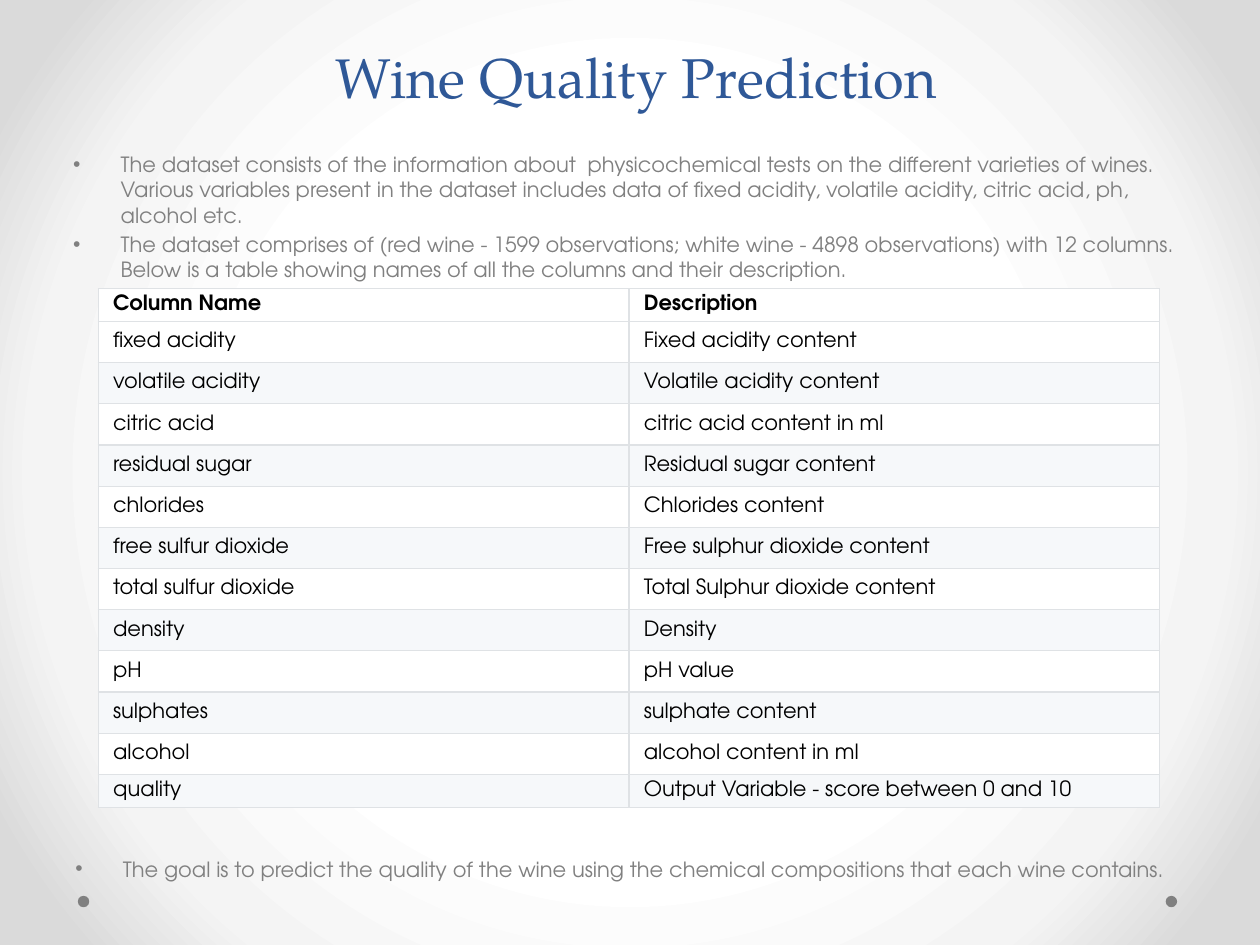
from dataclasses import dataclass
from typing import NamedTuple

from lxml.etree import SubElement
from pptx import Presentation
from pptx.dml.color import RGBColor as Color
from pptx.enum.shapes import MSO_SHAPE as Preset
from pptx.enum.text import MSO_ANCHOR as Anchor, MSO_AUTO_SIZE as AutoSize, PP_ALIGN as Align
from pptx.oxml import parse_xml
from pptx.oxml.ns import nsdecls, qn
from pptx.util import Cm, Pt


@dataclass(frozen=True)
class Theme:
    title_font: str = "TeX Gyre Pagella"
    body_font: str = "TeX Gyre Adventor"
    title_size: int = 32
    body_size: int = 12
    title: str = "2F5897"
    muted: str = "808080"
    ink: str = "000000"
    border: str = "DFE2E5"
    bands: tuple = ("F6F8FA", "FFFFFF")
    backdrop: tuple = ((50, "FFFFFF"), (76, "F4F4F4"), (92, "DADADA"))


class Place(NamedTuple):
    left: float
    top: float
    width: float
    height: float


class Variable(NamedTuple):
    name: str
    description: str


THEME = Theme()
TITLE_PLACE = Place(0.51, 0.53, 24.64, 1.8)
INTRO_PLACE = Place(1.22, 2.34, 22.86, 3.4)
GOAL_PLACE = Place(1.27, 16.54, 22.86, 1.4)
TABLE_PLACE = Place(1.98, 5.82, 21.4, 10.45)
DOTS = [Place(left, 18.06, 0.23, 0.23) for left in (23.5, 1.57)]
ROW_HEIGHT, EDGE_ROW_HEIGHT = 0.83, 0.66

INTRO = [
    "The dataset consists of the information about  physicochemical tests on the different "
    "varieties of wines. Various variables present in the dataset includes data of fixed acidity, "
    "volatile acidity, citric acid, ph, alcohol etc.",
    "The dataset comprises of (red wine - 1599 observations; white wine - 4898 observations) "
    "with 12 columns. Below is a table showing names of all the columns and their description.",
]
GOAL = [
    "The goal is to predict the quality of the wine using the chemical compositions "
    "that each wine contains."
]
VARIABLES = [
    Variable("Column Name", "Description"),
    Variable("fixed acidity", "Fixed acidity content"),
    Variable("volatile acidity", "Volatile acidity content"),
    Variable("citric acid", "citric acid content in ml"),
    Variable("residual sugar", "Residual sugar content"),
    Variable("chlorides", "Chlorides content"),
    Variable("free sulfur dioxide", "Free sulphur dioxide content"),
    Variable("total sulfur dioxide", "Total Sulphur dioxide content"),
    Variable("density", "Density"),
    Variable("pH", "pH value"),
    Variable("sulphates", "sulphate content"),
    Variable("alcohol", "alcohol content in ml"),
    Variable("quality", "Output Variable - score between 0 and 10"),
]


def lengths(place: Place) -> list:
    return [Cm(value) for value in place]


def move(shape, place: Place) -> None:
    shape.left, shape.top, shape.width, shape.height = lengths(place)


def set_font(para, name: str, size: int, color: str, bold: bool = False) -> None:
    font = para.font
    font.name, font.size, font.bold = name, Pt(size), bold
    font.color.rgb = Color.from_string(color)


def paint_background(slide) -> None:
    """Fill the background with a radial gradient, which needs XML."""
    stops = "".join(
        f'<a:gs pos="{position * 1000}"><a:srgbClr val="{color}"/></a:gs>'
        for position, color in THEME.backdrop
    )
    background = parse_xml(
        f'<p:bg {nsdecls("p", "a")}><p:bgPr><a:gradFill rotWithShape="1">'
        f'<a:gsLst>{stops}</a:gsLst><a:path path="circle">'
        '<a:fillToRect l="50000" t="50000" r="50000" b="50000"/></a:path>'
        "</a:gradFill><a:effectLst/></p:bgPr></p:bg>"
    )
    slide.element.cSld.insert(0, background)


def add_dot(slide, place: Place) -> None:
    dot = slide.shapes.add_shape(Preset.OVAL, *lengths(place))
    dot.shadow.inherit = False
    dot.fill.solid()
    dot.fill.fore_color.rgb = Color.from_string(THEME.muted)
    dot.line.fill.background()


def write_title(title, text: str) -> None:
    move(title, TITLE_PLACE)
    frame = title.text_frame
    frame.text = text
    frame.auto_size = AutoSize.NONE
    frame.vertical_anchor = Anchor.BOTTOM
    para = frame.paragraphs[0]
    para.alignment = Align.CENTER
    para.line_spacing = Pt(58)
    set_font(para, THEME.title_font, THEME.title_size, THEME.title)


def write_bullets(box, place: Place, texts: list[str]) -> None:
    move(box, place)
    frame = box.text_frame
    frame.word_wrap = True
    frame.auto_size = AutoSize.NONE
    frame.vertical_anchor = Anchor.TOP
    frame.margin_top = Cm(0.72)
    frame.text = "\n".join(texts)
    for index, para in enumerate(frame.paragraphs):
        para.space_before = Pt(2.4 if index else 0)
        set_font(para, THEME.body_font, THEME.body_size, THEME.muted)
        properties = para._p.get_or_add_pPr()
        properties.set("marL", str(Cm(0.96)))
        properties.set("indent", str(-Cm(0.96)))
        bullet_font = parse_xml(f'<a:buFont {nsdecls("a")} typeface="Arial"/>')
        bullet = parse_xml(f'<a:buChar {nsdecls("a")} char="•"/>')
        run_defaults = properties.find(qn("a:defRPr"))
        run_defaults.addprevious(bullet_font)
        run_defaults.addprevious(bullet)


def outline_cell(cell) -> None:
    properties = cell._tc.get_or_add_tcPr()
    for side in ("lnL", "lnR", "lnT", "lnB"):
        line = SubElement(properties, qn(f"a:{side}"), w=str(Pt(0.75)))
        fill = SubElement(line, qn("a:solidFill"))
        SubElement(fill, qn("a:srgbClr"), val=THEME.border)


def write_cell(cell, text: str, band: str, bold: bool) -> None:
    outline_cell(cell)
    cell.fill.solid()
    cell.fill.fore_color.rgb = Color.from_string(band)
    cell.vertical_anchor = Anchor.MIDDLE
    cell.margin_left = cell.margin_right = Cm(0.3)
    cell.margin_top = cell.margin_bottom = Cm(0.07)
    cell.text = text
    set_font(cell.text_frame.paragraphs[0], THEME.body_font, THEME.body_size, THEME.ink, bold)


def add_variable_table(slide) -> None:
    last = len(VARIABLES) - 1
    table = slide.shapes.add_table(len(VARIABLES), 2, *lengths(TABLE_PLACE)).table
    table.first_row = table.horz_banding = False
    for index, variable in enumerate(VARIABLES):
        table.rows[index].height = Cm(EDGE_ROW_HEIGHT if index in (0, last) else ROW_HEIGHT)
        band = THEME.bands[index % 2] if index else THEME.bands[1]
        for cell, text in zip(table.rows[index].cells, variable):
            write_cell(cell, text, band, bold=index == 0)


def main() -> None:
    deck = Presentation()
    deck.slide_width, deck.slide_height = Cm(25.4), Cm(19.05)
    slide = deck.slides.add_slide(deck.slide_layouts[1])
    paint_background(slide)
    for dot in DOTS:
        add_dot(slide, dot)
    write_title(slide.shapes.title, "Wine Quality Prediction")
    write_bullets(slide.placeholders[1], INTRO_PLACE, INTRO)
    add_variable_table(slide)
    write_bullets(slide.shapes.add_textbox(*lengths(GOAL_PLACE)), GOAL_PLACE, GOAL)
    deck.save("out.pptx")


if __name__ == "__main__":
    main()
